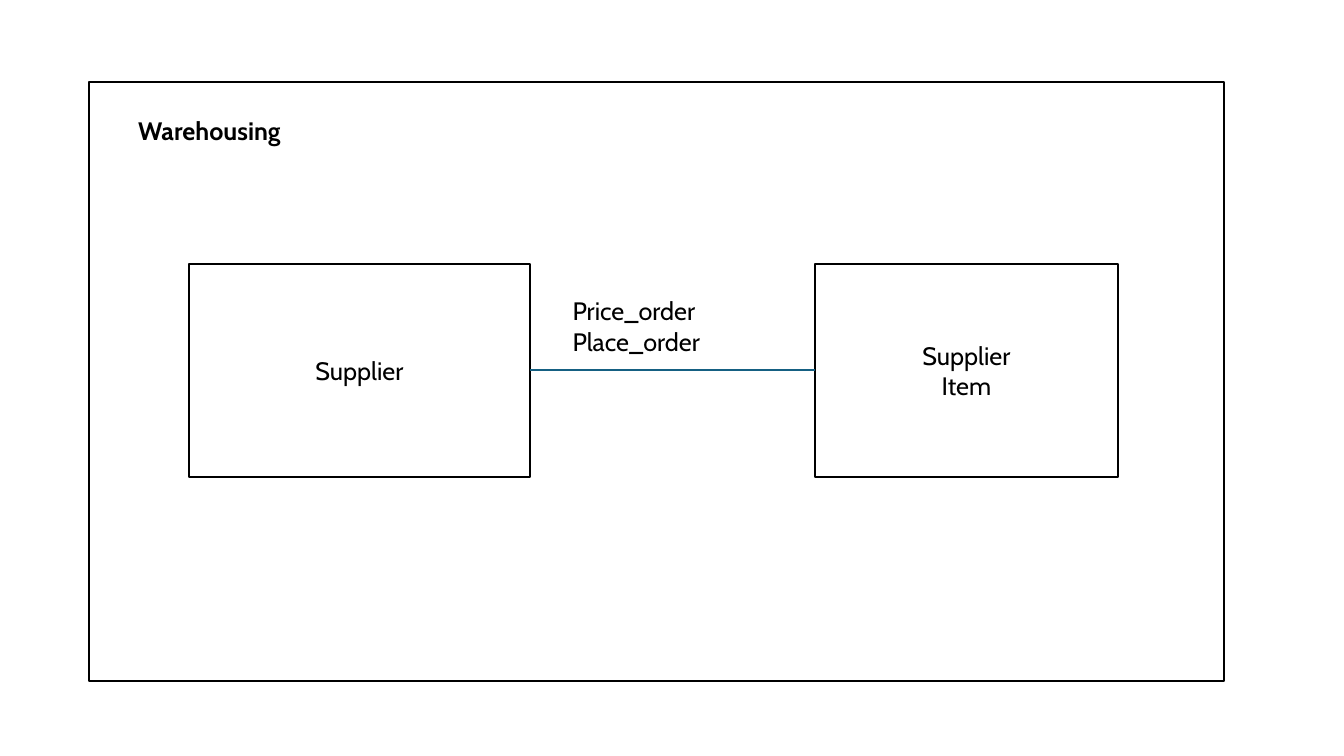
from lxml.etree import SubElement
from pptx import Presentation
from pptx.dml.color import RGBColor
from pptx.enum.shapes import MSO_CONNECTOR, MSO_SHAPE
from pptx.enum.text import MSO_ANCHOR, PP_ALIGN
from pptx.oxml.ns import qn
from pptx.util import Inches, Pt

FONT = "Cabin"
BLACK, TEAL = "000000", "156082"
LINE_WIDTH = 1.5


def color(hex_value):
    return RGBColor.from_string(hex_value)


def write_text(shape, *lines, size=18, bold=False, align=PP_ALIGN.LEFT,
               anchor=MSO_ANCHOR.TOP, wrap=True):
    """Write one paragraph per line; a vertical tab breaks a line inside one."""
    frame = shape.text_frame
    frame.word_wrap = wrap
    frame.vertical_anchor = anchor
    frame.margin_left = frame.margin_right = Inches(0.1)
    frame.margin_top = frame.margin_bottom = Inches(0.05)
    for index, line in enumerate(lines):
        paragraph = frame.add_paragraph() if index else frame.paragraphs[0]
        paragraph.text = line
        paragraph.alignment = align
        paragraph.line_spacing = 1.0
        paragraph.space_before = Pt(0)
        for run in paragraph.runs:
            run.font.name = FONT
            run.font.size = Pt(size)
            run.font.bold = bold
            run.font.color.rgb = color(BLACK)


def add_box(slide, left, top, width, height, text=None):
    """Draw an outlined rectangle with optional centred text."""
    box = slide.shapes.add_shape(
        MSO_SHAPE.RECTANGLE, *map(Inches, (left, top, width, height)))
    box.shadow.inherit = False
    box.fill.background()
    box.line.color.rgb = color(BLACK)
    box.line.width = Pt(LINE_WIDTH)
    if text:
        write_text(box, text, align=PP_ALIGN.CENTER, anchor=MSO_ANCHOR.MIDDLE)
    return box


def add_association(slide, source, target, *operations):
    """Join two boxes at mid-height and list the operations above the line."""
    connector = slide.shapes.add_connector(MSO_CONNECTOR.STRAIGHT, 0, 0, 0, 0)
    connector.begin_connect(source, 3)
    connector.end_connect(target, 1)
    connector.line.color.rgb = color(TEAL)
    connector.line.width = Pt(LINE_WIDTH)
    SubElement(connector._element.spPr, qn("a:effectLst"))

    height = Inches(0.71)
    label = slide.shapes.add_textbox(
        source.left + source.width + Inches(0.32),
        connector.top - height - Inches(0.08), Inches(1.51), height)
    write_text(label, *operations, wrap=False)


def add_domain(slide, left, top, width, height):
    """Draw the domain frame, its title and the two related classes."""
    add_box(slide, left, top, width, height)

    # Title in the upper left corner
    title = slide.shapes.title
    title.left, title.top = Inches(left + 0.39), Inches(top + 0.28)
    title.width, title.height = Inches(1.71), Inches(0.4)
    write_text(title, "Warehousing", bold=True, wrap=False)

    # Classes share one row
    row_top, row_height = top + 1.81, 2.11
    supplier = add_box(slide, left + 0.99, row_top, 3.39, row_height, "Supplier")
    item = add_box(slide, left + 7.2, row_top, 3.01, row_height, "Supplier\vItem")
    add_association(slide, supplier, item, "Price_order", "Place_order")


def main():
    presentation = Presentation()
    presentation.slide_width = Inches(13.33)
    presentation.slide_height = Inches(7.5)
    slide = presentation.slides.add_slide(presentation.slide_layouts[5])
    add_domain(slide, 0.88, 0.81, 11.26, 5.95)
    presentation.save("out.pptx")


if __name__ == "__main__":
    main()
